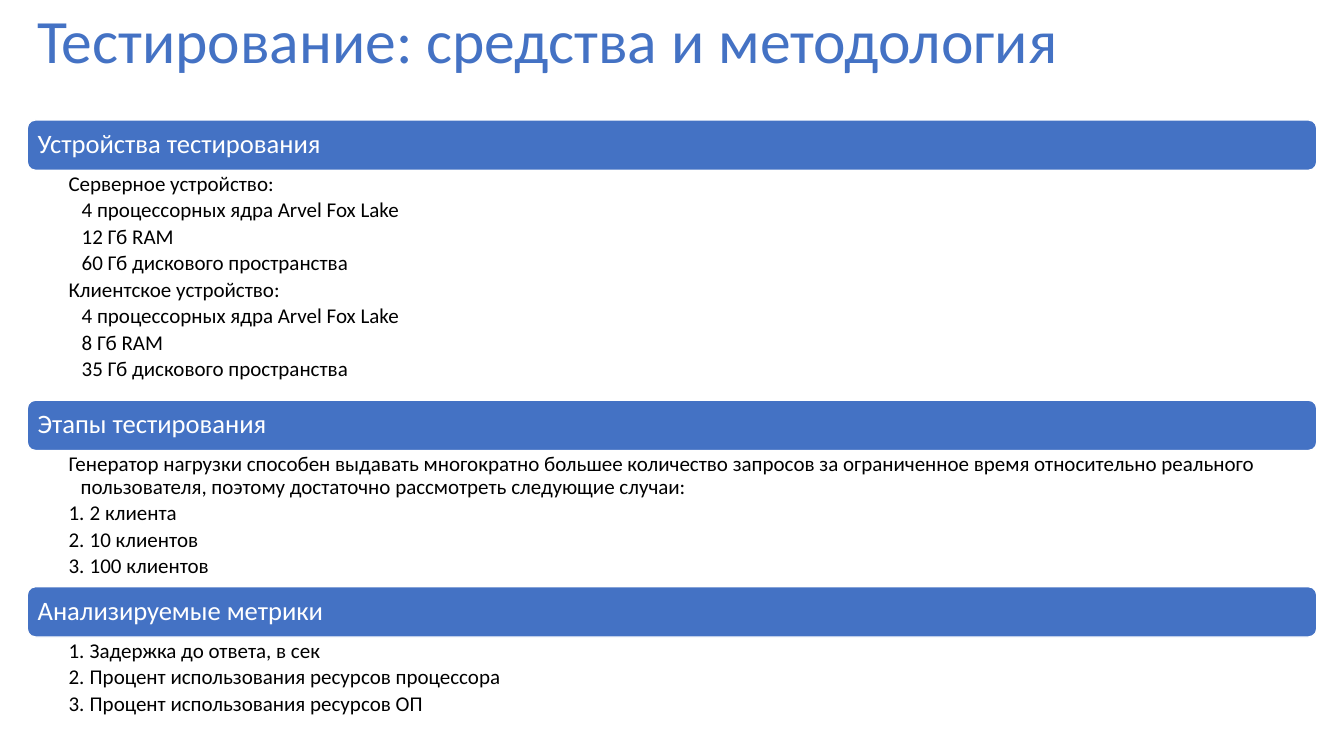
from lxml.etree import SubElement
from pptx import Presentation
from pptx.dml.color import RGBColor
from pptx.enum.shapes import MSO_SHAPE
from pptx.enum.text import MSO_ANCHOR, PP_ALIGN
from pptx.oxml.ns import qn
from pptx.util import Inches, Pt

BLUE = RGBColor(0x44, 0x72, 0xC4)
WHITE = RGBColor(0xFF, 0xFF, 0xFF)
BLACK = RGBColor(0, 0, 0)
FONT = "Calibri"

LEFT, WIDTH = 0.27, 12.79
BAR_HEIGHT = 0.5

# Paragraph styles: level, left margin, hanging indent, numbered
STYLES = {
    "plain": (0, 0.12, 0.12, False),
    "nested": (1, 0.25, 0.12, False),
    "numbered": (0, 0.21, 0.21, True),
}

# Sections: top of the bar, height of the body, heading, body paragraphs
SECTIONS = [
    (1.19, 2.28, "Устройства тестирования", [
        ("plain", "Серверное устройство:"),
        ("nested", "4 процессорных ядра Arvel Fox Lake"),
        ("nested", "12 Гб RAM"),
        ("nested", "60 Гб дискового пространства"),
        ("plain", "Клиентское устройство:"),
        ("nested", "4 процессорных ядра Arvel Fox Lake"),
        ("nested", "8 Гб RAM"),
        ("nested", "35 Гб дискового пространства"),
    ]),
    (3.97, 1.35, "Этапы тестирования", [
        ("plain", "Генератор нагрузки способен выдавать многократно большее "
                  "количество запросов за ограниченное время относительно реального "
                  "пользователя, поэтому достаточно рассмотреть следующие случаи:"),
        ("numbered", "2 клиента"),
        ("numbered", "10 клиентов"),
        ("numbered", "100 клиентов"),
    ]),
    (5.82, 0.86, "Анализируемые метрики", [
        ("numbered", "Задержка до ответа, в сек"),
        ("numbered", "Процент использования ресурсов процессора"),
        ("numbered", "Процент использования ресурсов ОП"),
    ]),
]


def format_paragraph(paragraph, size, color):
    paragraph.alignment = PP_ALIGN.LEFT
    paragraph.line_spacing = 0.9
    paragraph.font.name = FONT
    paragraph.font.size = Pt(size)
    paragraph.font.color.rgb = color


def set_insets(frame, left, top, right, bottom):
    frame.word_wrap = True
    frame.margin_left, frame.margin_top = Inches(left), Inches(top)
    frame.margin_right, frame.margin_bottom = Inches(right), Inches(bottom)


presentation = Presentation()
presentation.slide_width = Inches(13.33)
presentation.slide_height = Inches(7.5)
slide = presentation.slides.add_slide(presentation.slide_layouts[5])

# Title
title = slide.shapes.title
title.left, title.top = Inches(LEFT), Inches(0)
title.width, title.height = Inches(10.81), Inches(0.87)
title.text_frame.text = "Тестирование: средства и методология"
title.text_frame.vertical_anchor = MSO_ANCHOR.MIDDLE
format_paragraph(title.text_frame.paragraphs[0], 44, BLUE)

for top, body_height, heading, lines in SECTIONS:
    # Heading bar
    bar = slide.shapes.add_shape(MSO_SHAPE.ROUNDED_RECTANGLE, Inches(LEFT),
                                 Inches(top), Inches(WIDTH), Inches(BAR_HEIGHT))
    bar.shadow.inherit = False
    bar.fill.solid()
    bar.fill.fore_color.rgb = BLUE
    bar.line.color.rgb = WHITE
    bar.line.width = Pt(1)
    set_insets(bar.text_frame, 0.08, 0.08, 0.08, 0.08)
    bar.text_frame.vertical_anchor = MSO_ANCHOR.MIDDLE
    bar.text_frame.text = heading
    format_paragraph(bar.text_frame.paragraphs[0], 19, WHITE)

    # Body text
    body = slide.shapes.add_textbox(Inches(LEFT), Inches(top + BAR_HEIGHT),
                                    Inches(WIDTH), Inches(body_height))
    frame = body.text_frame
    set_insets(frame, 0.41, 0.03, 0.15, 0.03)
    frame.text = "\n".join(text for style, text in lines)
    for paragraph, (style, text) in zip(frame.paragraphs, lines):
        level, margin, hanging, numbered = STYLES[style]
        format_paragraph(paragraph, 15, BLACK)
        paragraph.space_after = Pt(2.7)
        paragraph.level = level
        properties = paragraph._p.get_or_add_pPr()
        properties.set("marL", str(Inches(margin)))
        properties.set("indent", str(-Inches(hanging)))
        if numbered:
            bullet = SubElement(properties, qn("a:buAutoNum"), type="arabicPeriod")
            properties.find(qn("a:defRPr")).addprevious(bullet)

presentation.save("out.pptx")
